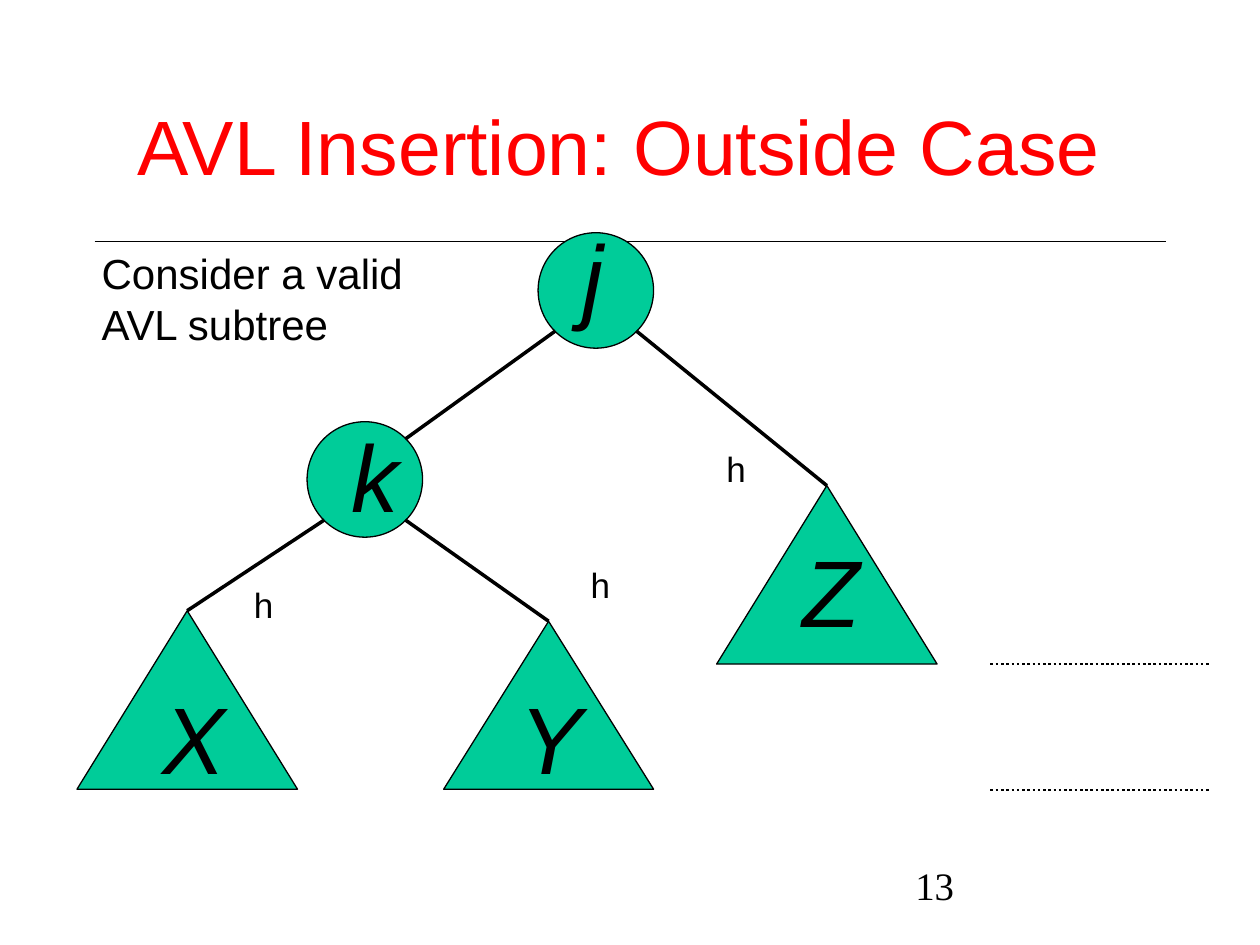
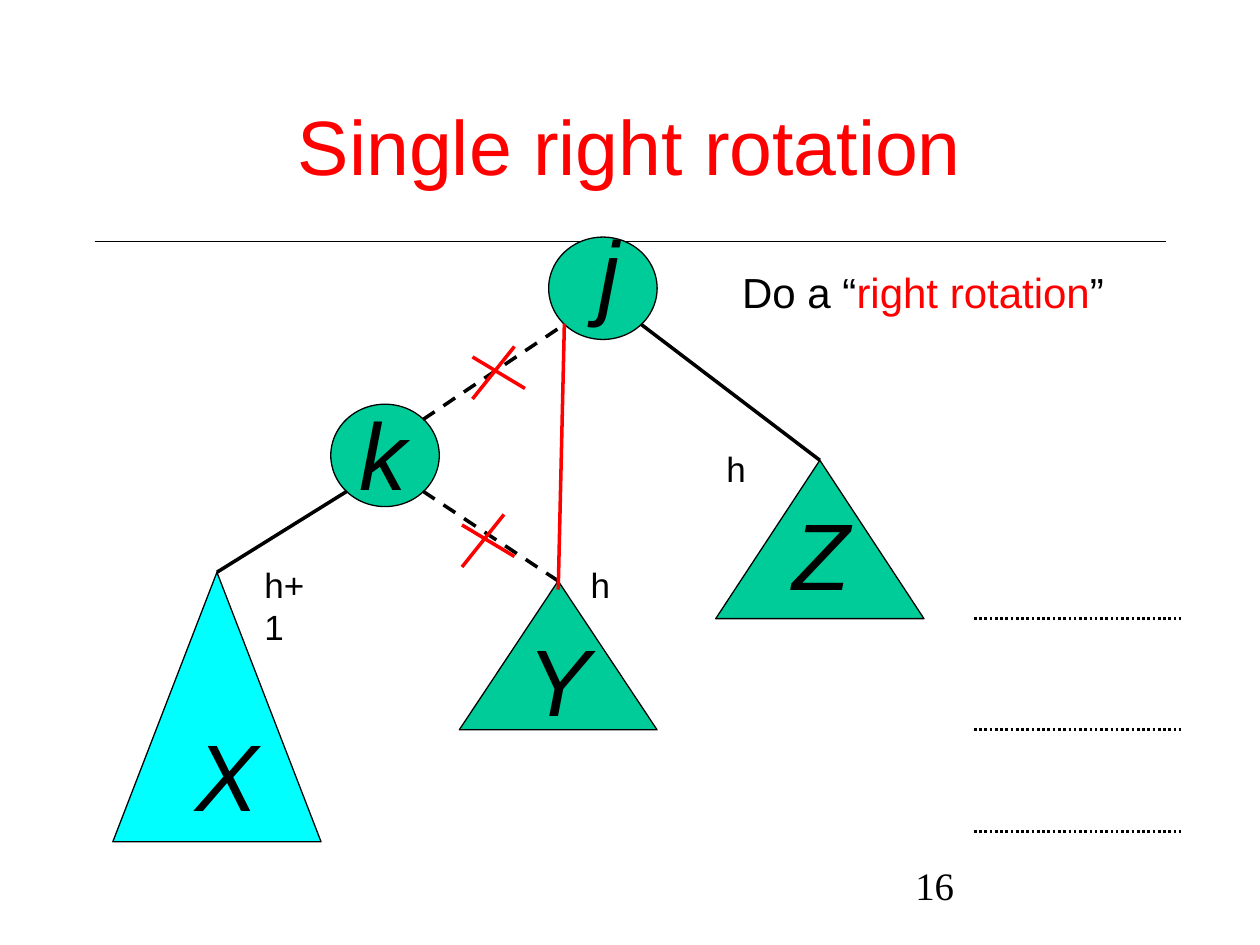
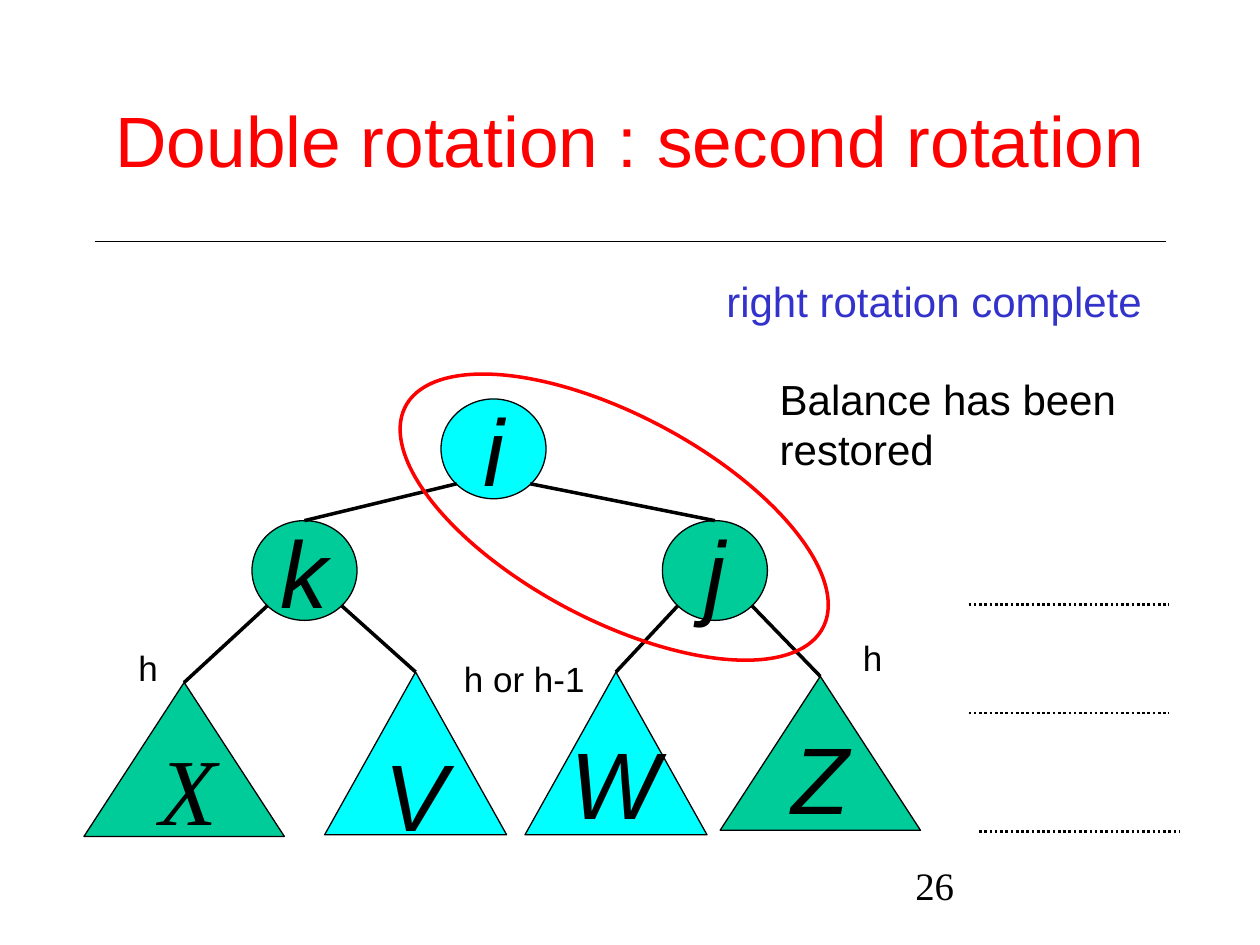
"""Build three AVL tree slides: a valid subtree, a single rotation and a double rotation."""
import lxml.etree
import pptx
import pptx.dml.color
import pptx.enum.dml
import pptx.enum.shapes
import pptx.enum.text
import pptx.oxml.ns
import pptx.util

Pt = pptx.util.Pt
RGBColor = pptx.dml.color.RGBColor
ANCHOR = pptx.enum.text.MSO_ANCHOR
ALIGN = pptx.enum.text.PP_ALIGN
GROW = pptx.enum.text.MSO_AUTO_SIZE.SHAPE_TO_FIT_TEXT
DASH = pptx.enum.dml.MSO_LINE.DASH
DOTS = pptx.enum.dml.MSO_LINE.ROUND_DOT
OVAL = pptx.enum.shapes.MSO_SHAPE.OVAL
TRIANGLE = pptx.enum.shapes.MSO_SHAPE.ISOSCELES_TRIANGLE
STRAIGHT = pptx.enum.shapes.MSO_CONNECTOR.STRAIGHT

BLACK = RGBColor(0x00, 0x00, 0x00)
RED = RGBColor(0xFF, 0x00, 0x00)
BLUE = RGBColor(0x33, 0x33, 0xCC)
GREEN = RGBColor(0x00, 0xCC, 0x99)
CYAN = RGBColor(0x00, 0xFF, 0xFF)

SANS = "Arial"
SERIF = "Times New Roman"
TITLE_BOX = (52.5, 51, 615, 63.5)
PAGE_BOX = (516, 492, 150, 36)
RULE = (54, 138, 666, 138)
LETTER_HEIGHT = 72
HEIGHT_LABEL = {"size": Pt(20), "name": SANS}
REMARK = {"size": Pt(24), "name": SANS}

SITES = {"top": (0.5, 0), "lower left": (0.15, 0.85),
         "lower right": (0.85, 0.85), "upper right": (0.85, 0.15)}

SLIDES = [
    {
        "title": "AVL Insertion: Outside Case ", "title_size": 44, "title_spacing": None,
        "page": "13", "letter_width": 40,
        "nodes": {
            "j": (OVAL, GREEN, (307.5, 133, 66, 66), (325.5, 121), SANS),
            "k": (OVAL, GREEN, (175.5, 241, 66, 66), (193.5, 235.5), SANS),
            "X": (TRIANGLE, GREEN, (44, 349, 126, 102), (85.5, 385), SANS),
            "Y": (TRIANGLE, GREEN, (253.5, 355, 120, 96), (289.5, 385), SANS),
            "Z": (TRIANGLE, GREEN, (409.5, 277.5, 126, 102), (451.5, 301), SANS),
        },
        "edges": [
            ("j", "lower left", "k", "upper right", None),
            ("j", "lower right", "Z", "top", None),
            ("k", "lower left", "X", "top", None),
            ("k", "lower right", "Y", "top", None),
        ],
        "levels": [(566, 379.5), (566, 451.5)], "level_width": 126,
        "red_strokes": [], "rings": [],
        "labels": [
            ((51, 138, 186.5, 65), [[("Consider a valid", BLACK)], [("AVL subtree", BLACK)]],
             REMARK, ANCHOR.TOP),
            ((408, 252, 25, 32), [[("h", BLACK)]], HEIGHT_LABEL, ANCHOR.TOP),
            ((138, 330, 25, 32), [[("h", BLACK)]], HEIGHT_LABEL, ANCHOR.TOP),
            ((330.5, 318.5, 25, 32), [[("h", BLACK)]], HEIGHT_LABEL, ANCHOR.TOP),
        ],
    },
    {
        "title": "Single right rotation", "title_size": 44, "title_spacing": None,
        "page": "16", "letter_width": 38,
        "nodes": {
            "j": (OVAL, GREEN, (313.5, 135.5, 62, 58.5), (335, 119), SANS),
            "k": (OVAL, GREEN, (189, 231, 62, 58.5), (198.5, 223), SANS),
            "X": (TRIANGLE, CYAN, (64.5, 327, 119, 154), (104.5, 406), SANS),
            "Y": (TRIANGLE, GREEN, (262.5, 332, 113, 85), (294.5, 352), SANS),
            "Z": (TRIANGLE, GREEN, (409, 263, 119, 90.5), (445.5, 280), SANS),
        },
        "edges": [
            ("k", "lower left", "X", "top", None),
            ("j", "lower right", "Z", "top", None),
            ("k", "upper right", "j", "lower left", DASH),
            ("k", "lower right", "Y", "top", DASH),
        ],
        "levels": [(556.5, 353.5), (556.5, 417), (556.5, 475)], "level_width": 118.5,
        "red_strokes": [
            (322.5, 185, 319, 337),
            (270, 204, 300, 222), (294, 198, 270, 228),
            (264, 300, 294, 318), (288, 294, 264, 324),
        ],
        "rings": [],
        "labels": [
            ((417, 148.5, 221, 36),
             [[("Do a “", BLACK), ("right rotation", RED), ("”", BLACK)]], REMARK, ANCHOR.TOP),
            ((408, 252, 25, 32), [[("h", BLACK)]], HEIGHT_LABEL, ANCHOR.TOP),
            ((144, 318.5, 48, 32), [[("h+1", BLACK)]], HEIGHT_LABEL, ANCHOR.TOP),
            ((330.5, 318.5, 25, 32), [[("h", BLACK)]], HEIGHT_LABEL, ANCHOR.TOP),
        ],
    },
    {
        "title": "Double rotation : second rotation", "title_size": 40.7, "title_spacing": 0.9,
        "page": "26", "letter_width": 36.5,
        "nodes": {
            "j": (OVAL, GREEN, (378.5, 297.5, 60, 57), None, SANS),
            "k": (OVAL, GREEN, (144, 297.5, 60, 57), None, SANS),
            "X": (TRIANGLE, GREEN, (48, 390, 114.5, 88), (84, 414), SERIF),
            "V": (TRIANGLE, CYAN, (185.5, 384, 104, 93), None, SANS),
            "Z": (TRIANGLE, GREEN, (411.5, 386.5, 114.5, 88), (445, 408), SANS),
            "W": (TRIANGLE, CYAN, (300, 384, 104, 93), (319, 411), SANS),
            "i": (OVAL, CYAN, (252, 228, 60, 57), None, SANS),
        },
        "edges": [
            ("i", "lower left", "k", "top", None),
            ("i", "lower right", "j", "top", None),
            ("k", "lower left", "X", "top", None),
            ("k", "lower right", "V", "top", None),
            ("j", "lower left", "W", "top", None),
            ("j", "lower right", "Z", "top", None),
        ],
        "levels": [(553.5, 345.5), (553.5, 407.5), (559.5, 475)], "level_width": 114.5,
        "red_strokes": [],
        "rings": [((216, 237, 270, 117), 28)],
        "labels": [
            ((408, 154, 252, 36), [[("right rotation complete", BLUE)]], REMARK, ANCHOR.TOP),
            ((438.5, 209.5, 213, 65), [[("Balance has been", BLACK)], [("restored", BLACK)]],
             REMARK, ANCHOR.MIDDLE),
            ((486, 360, 26, 32), [[("h", BLACK)]], HEIGHT_LABEL, ANCHOR.TOP),
            ((72, 366, 25, 32), [[("h", BLACK)]], HEIGHT_LABEL, ANCHOR.TOP),
            ((258, 372, 83.5, 32), [[("h or h-1", BLACK)]], HEIGHT_LABEL, ANCHOR.TOP),
        ],
    },
]


def write(frame, lines, frame_format, paragraph_format, font_format):
    for key, value in frame_format.items():
        setattr(frame, key, value)
    for index, line in enumerate(lines):
        paragraph = frame.add_paragraph() if index else frame.paragraphs[0]
        for key, value in paragraph_format.items():
            setattr(paragraph, key, value)
        for text, colour in line:
            run = paragraph.add_run()
            run.text = text
            run.font.color.rgb = colour
            for key, value in font_format.items():
                setattr(run.font, key, value)


def draw_line(slide, ends, colour, width, dash=None):
    connector = slide.shapes.add_connector(STRAIGHT, *map(Pt, ends))
    connector.line.color.rgb = colour
    connector.line.width = Pt(width)
    if dash:
        connector.line.dash_style = dash
    lxml.etree.SubElement(connector._element.spPr, pptx.oxml.ns.qn("a:effectLst"))


deck = pptx.Presentation()
deck.slide_width, deck.slide_height = Pt(720), Pt(540)

for content in SLIDES:
    slide = deck.slides.add_slide(deck.slide_layouts[6])
    draw_line(slide, RULE, BLACK, 0.75)

    page = slide.shapes.add_textbox(*map(Pt, PAGE_BOX))
    write(page.text_frame, [[(content["page"], BLACK)]], {"word_wrap": True},
          {"line_spacing": 0.9}, {"size": Pt(22.2), "name": SERIF})

    title = slide.shapes.add_textbox(*map(Pt, TITLE_BOX))
    write(title.text_frame, [[(content["title"], RED)]],
          {"word_wrap": True, "vertical_anchor": ANCHOR.MIDDLE},
          {"alignment": ALIGN.CENTER, "line_spacing": content["title_spacing"]},
          {"size": Pt(content["title_size"]), "name": SANS})

    for letter, (outline, fill, box, letter_at, font_name) in content["nodes"].items():
        node = slide.shapes.add_shape(outline, *map(Pt, box))
        node.shadow.inherit = False
        node.fill.solid()
        node.fill.fore_color.rgb = fill
        node.line.color.rgb = BLACK
        node.line.width = Pt(0.75)
        letter_font = {"size": Pt(54), "name": font_name, "italic": True}
        if letter_at:
            letter_box = (*letter_at, content["letter_width"], LETTER_HEIGHT)
            caption = slide.shapes.add_textbox(*map(Pt, letter_box))
            write(caption.text_frame, [[(letter, BLACK)]],
                  {"word_wrap": True, "auto_size": GROW}, {}, letter_font)
        else:
            write(node.text_frame, [[(letter, BLACK)]],
                  {"word_wrap": False, "vertical_anchor": ANCHOR.MIDDLE},
                  {"alignment": ALIGN.CENTER}, letter_font)

    for parent, parent_site, child, child_site, dash in content["edges"]:
        ends = []
        for letter, site in ((parent, parent_site), (child, child_site)):
            left, top, width, height = content["nodes"][letter][2]
            across, down = SITES[site]
            ends += [left + across * width, top + down * height]
        draw_line(slide, ends, BLACK, 2, dash)

    for left, level in content["levels"]:
        draw_line(slide, (left, level, left + content["level_width"], level), BLACK, 1.5, DOTS)

    for stroke in content["red_strokes"]:
        draw_line(slide, stroke, RED, 2)

    for box, angle in content["rings"]:
        ring = slide.shapes.add_shape(OVAL, *map(Pt, box))
        ring.shadow.inherit = False
        ring.rotation = angle
        ring.fill.background()
        ring.line.color.rgb = RED
        ring.line.width = Pt(2)

    for box, lines, font_format, anchor in content["labels"]:
        label = slide.shapes.add_textbox(*map(Pt, box))
        write(label.text_frame, lines,
              {"word_wrap": False, "auto_size": GROW, "vertical_anchor": anchor},
              {}, font_format)

deck.save("out.pptx")
